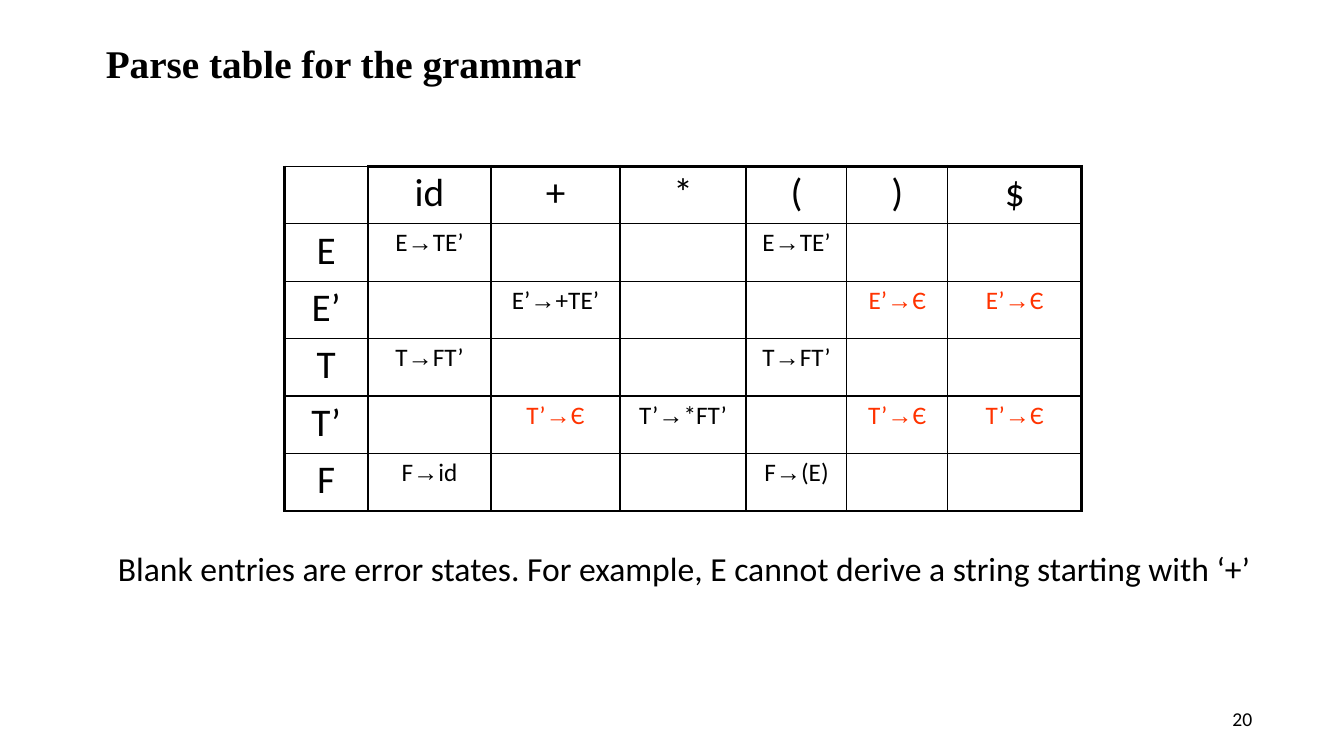
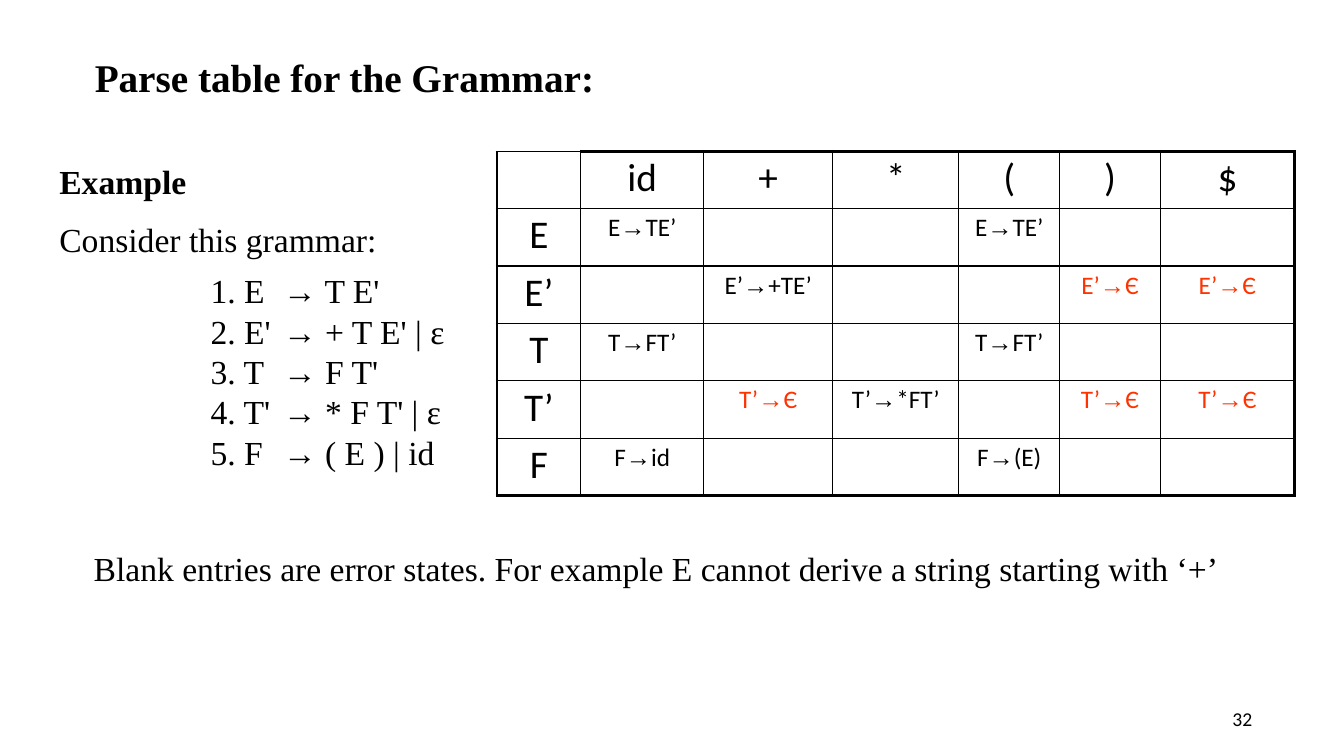
"""Build two slides that show an LL(1) parse table and its grammar."""
from lxml.etree import SubElement
from pptx import Presentation
from pptx.dml.color import RGBColor
from pptx.enum.text import MSO_ANCHOR as Anchor, PP_ALIGN as Align
from pptx.oxml.ns import qn
from pptx.util import Inches, Pt

BLACK, RED = "000000", "FF3300"
SERIF, SANS, ARROW_FONT = "Times New Roman", "Calibri", "Arial"
THIN, THICK = 1, 2.25

PARSE_TABLE = [
    ["", "id", "+", "*", "(", ")", "$"],
    ["E", "E→TE’", "", "", "E→TE’", "", ""],
    ["E’", "", "E’→+TE’", "", "", "E’→Є", "E’→Є"],
    ["T", "T→FT’", "", "", "T→FT’", "", ""],
    ["T’", "", "T’→Є", "T’→*FT’", "", "T’→Є", "T’→Є"],
    ["F", "F→id", "", "", "F→(E)", "", ""],
]
COLUMN_WIDTHS = [0.83, 1.22, 1.28, 1.25, 1, 1, 1.33]
ROW_HEIGHT = 0.57

GRAMMAR = [
    "1. E\t→ T E'",
    "2. E'\t→ + T E' | ε",
    "3. T\t→ F T'",
    "4. T'\t→ * F T' | ε",
    "5. F\t→ ( E ) | id",
]

SLIDES = [
    dict(
        title="Parse table for the grammar", title_box=(1.03, 0.37, 11.5, 0.49),
        number="20", table_at=(2.82, 1.65),
        note="Blank entries are error states. For example, E cannot derive a string starting with ‘+’",
        note_box=(1.16, 5.43, 11.5, 0.42), note_font=SANS, grammar=None,
    ),
    dict(
        title="Parse table for the Grammar:", title_box=(0.92, 0.51, 8.02, 0.49),
        number="32", table_at=(4.93, 1.5),
        note="Blank entries are error states. For example E cannot derive a string starting with ‘+’",
        note_box=(0.92, 5.43, 11.5, 0.42), note_font=SERIF, grammar=GRAMMAR,
    ),
]
NUMBER_BOX = (9.42, 6.95, 3, 0.4)
GRAMMAR_BOX = (0.49, 1.49, 4.24, 3.27)


def color(hex_string):
    return RGBColor.from_string(hex_string)


def write(frame, text, size=24, font=SERIF, arrow_font=None, ink=BLACK, bold=False,
          align=Align.LEFT, before=0, after=0, line=None, left=0, hanging=0):
    paragraph = frame.paragraphs[0]
    if paragraph.runs:
        paragraph = frame.add_paragraph()
    paragraph.alignment = align
    paragraph.space_before, paragraph.space_after = Pt(before), Pt(after)
    paragraph.line_spacing = line
    properties = paragraph._p.get_or_add_pPr()
    properties.set("marL", str(Inches(left)))
    properties.set("indent", str(-Inches(hanging)))
    for part in text.partition("→") if arrow_font else [text]:
        run = paragraph.add_run()
        run.text = part
        run.font.name = arrow_font if part == "→" else font
        run.font.size, run.font.bold = Pt(size), bold
        run.font.color.rgb = color(ink)


def add_frame(slide, box, anchor=Anchor.TOP, margins=(0, 0.01, 0, 0)):
    frame = slide.shapes.add_textbox(*map(Inches, box)).text_frame
    frame.word_wrap = True
    frame.vertical_anchor = anchor
    set_margins(frame, margins)
    return frame


def set_margins(holder, margins):
    (holder.margin_left, holder.margin_top,
     holder.margin_right, holder.margin_bottom) = map(Inches, margins)


def set_borders(cell, widths):
    properties = cell._tc.get_or_add_tcPr()
    for position, (side, width) in enumerate(zip("LRTB", widths)):
        border = SubElement(properties, qn(f"a:ln{side}"), w=str(Pt(width)))
        fill = SubElement(border, qn("a:solidFill"))
        SubElement(fill, qn("a:srgbClr"), val=BLACK)
        properties.insert(position, border)


def add_parse_table(slide, left, top):
    row_count, column_count = len(PARSE_TABLE), len(COLUMN_WIDTHS)
    last_row, last_column = row_count - 1, column_count - 1
    table = slide.shapes.add_table(
        row_count, column_count, Inches(left), Inches(top),
        Inches(sum(COLUMN_WIDTHS)), Inches(ROW_HEIGHT * row_count)).table
    table.first_row = table.horz_banding = False
    for column, width in zip(table.columns, COLUMN_WIDTHS):
        column.width = Inches(width)
    for r, entries in enumerate(PARSE_TABLE):
        table.rows[r].height = Inches(ROW_HEIGHT)
        for c, entry in enumerate(entries):
            cell = table.cell(r, c)
            cell.fill.background()
            outer = (c == 0, c == last_column, r == 0 and c > 0, r == last_row)
            set_borders(cell, [THICK if edge else THIN for edge in outer])
            is_symbol = r == 0 or c == 0
            set_margins(cell, (0, 0.03 if is_symbol else 0.04, 0, 0))
            if is_symbol and entry:
                write(cell.text_frame, entry, size=28, font=SANS,
                      align=Align.CENTER, before=1.8)
            elif entry:
                write(cell.text_frame, entry, size=18, font=SANS, arrow_font=ARROW_FONT,
                      ink=RED if entry.endswith("Є") else BLACK,
                      align=Align.CENTER, before=2.7)


def add_grammar(slide, rules):
    frame = add_frame(slide, GRAMMAR_BOX, margins=(0.1, 0.05, 0.1, 0.05))
    write(frame, "Example", bold=True, line=1.15, after=8)
    write(frame, "Consider this grammar:", line=1.15, after=8)
    for rule in rules:
        write(frame, rule, left=2.22, hanging=0.72)


def build_slide(deck, content):
    slide = deck.slides.add_slide(deck.slide_layouts[6])
    title = add_frame(slide, content["title_box"], Anchor.MIDDLE)
    write(title, content["title"], size=28, bold=True, before=1.1, left=0.02)
    number = add_frame(slide, NUMBER_BOX, Anchor.MIDDLE, (0, 0, 0, 0))
    write(number, content["number"], size=14, font=SANS, align=Align.RIGHT, line=Pt(14.3))
    add_parse_table(slide, *content["table_at"])
    note = add_frame(slide, content["note_box"])
    write(note, content["note"], font=content["note_font"], before=1, left=0.01)
    if content["grammar"]:
        add_grammar(slide, content["grammar"])


def main():
    deck = Presentation()
    deck.slide_width, deck.slide_height = Inches(13.33), Inches(7.5)
    for content in SLIDES:
        build_slide(deck, content)
    deck.save("out.pptx")


if __name__ == "__main__":
    main()
